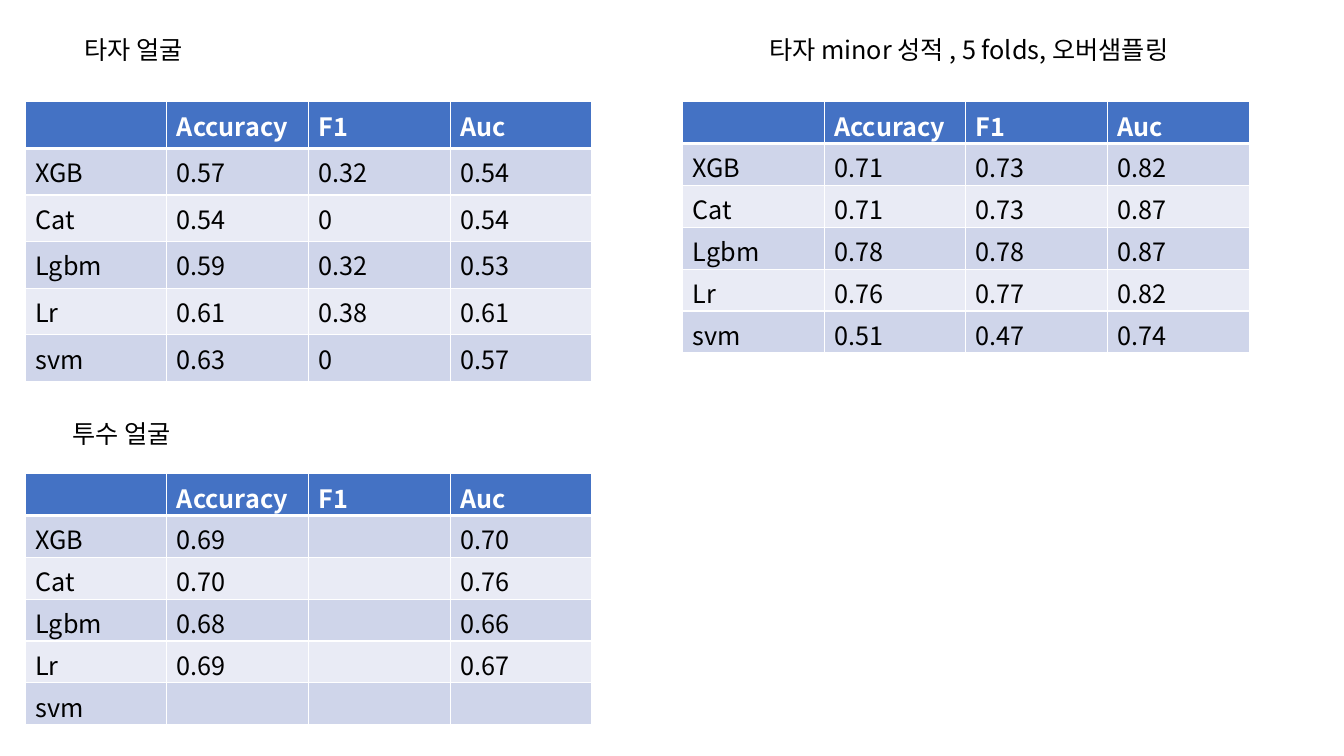
"""Build a slide comparing classifier scores in three captioned tables."""
from dataclasses import dataclass

from lxml.etree import SubElement
from pptx import Presentation
from pptx.dml.color import RGBColor
from pptx.enum.text import MSO_AUTO_SIZE as AutoSize
from pptx.oxml.ns import qn
from pptx.slide import Slide
from pptx.table import _Cell as Cell
from pptx.text.text import TextFrame
from pptx.util import Inches, Pt


@dataclass(frozen=True)
class Theme:
    font: str = "Noto Sans CJK KR"
    text_size: int = 18
    text: str = "000000"
    header_text: str = "FFFFFF"
    header_fill: str = "4472C4"
    bands: tuple[str, str] = ("E9EBF5", "CFD5EA")
    border: str = "FFFFFF"
    thin: float = 1
    thick: float = 3


@dataclass(frozen=True)
class Caption:
    text: str
    left: float
    top: float
    width: float


@dataclass(frozen=True)
class ScoreTable:
    caption: Caption
    left: float
    top: float
    height: float
    scores: tuple[tuple[str, str, str], ...]


THEME = Theme()
METRICS = ("", "Accuracy", "F1", "Auc")
MODELS = ("XGB", "Cat", "Lgbm", "Lr", "svm")
TABLE_WIDTH = 5.62
CAPTION_HEIGHT = 0.4

TABLES = (
    ScoreTable(
        Caption("타자 얼굴", 0.74, 0.29, 1.3), 0.25, 1.01, 2.76,
        (("0.57", "0.32", "0.54"), ("0.54", "0", "0.54"), ("0.59", "0.32", "0.53"),
         ("0.61", "0.38", "0.61"), ("0.63", "0", "0.57")),
    ),
    ScoreTable(
        Caption("타자 minor 성적 , 5 folds, 오버샘플링", 7.53, 0.29, 4.48), 6.77, 1.01, 2.49,
        (("0.71", "0.73", "0.82"), ("0.71", "0.73", "0.87"), ("0.78", "0.78", "0.87"),
         ("0.76", "0.77", "0.82"), ("0.51", "0.47", "0.74")),
    ),
    ScoreTable(
        Caption("투수 얼굴", 0.62, 4.1, 1.3), 0.25, 4.7, 2.49,
        (("0.69", "", "0.70"), ("0.70", "", "0.76"), ("0.68", "", "0.66"),
         ("0.69", "", "0.67"), ("", "", "")),
    ),
)


def write_text(frame: TextFrame, text: str, *, color: str = THEME.text,
               size: float = THEME.text_size, bold: bool = False) -> None:
    span = frame.paragraphs[0].add_run()
    span.text = text
    span.font.name = THEME.font
    span.font.size = Pt(size)
    span.font.bold = bold
    span.font.color.rgb = RGBColor.from_string(color)
    SubElement(span.font._element, qn("a:ea"), typeface=THEME.font)


def draw_borders(cell: Cell, *, top: float, bottom: float) -> None:
    properties = cell._tc.get_or_add_tcPr()
    widths = {"lnL": THEME.thin, "lnR": THEME.thin, "lnT": top, "lnB": bottom}
    for side, width in widths.items():
        line = SubElement(properties, qn(f"a:{side}"), w=str(Pt(width)))
        fill = SubElement(line, qn("a:solidFill"))
        SubElement(fill, qn("a:srgbClr"), val=THEME.border)


def draw_cell(cell: Cell, text: str, row: int) -> None:
    header = row == 0
    draw_borders(cell,
                 top=THEME.thick if row == 1 else THEME.thin,
                 bottom=THEME.thick if header else THEME.thin)
    cell.fill.solid()
    color = THEME.header_fill if header else THEME.bands[row % 2]
    cell.fill.fore_color.rgb = RGBColor.from_string(color)
    if text:
        write_text(cell.text_frame, text, bold=header,
                   color=THEME.header_text if header else THEME.text)


def draw_caption(page: Slide, caption: Caption) -> None:
    box = page.shapes.add_textbox(Inches(caption.left), Inches(caption.top),
                                  Inches(caption.width), Inches(CAPTION_HEIGHT))
    box.text_frame.word_wrap = False
    box.text_frame.auto_size = AutoSize.SHAPE_TO_FIT_TEXT
    write_text(box.text_frame, caption.text)


def draw_table(page: Slide, spec: ScoreTable) -> None:
    rows = [METRICS, *((model, *scores) for model, scores in zip(MODELS, spec.scores))]
    table = page.shapes.add_table(
        len(rows), len(METRICS), Inches(spec.left), Inches(spec.top),
        Inches(TABLE_WIDTH), Inches(spec.height)).table
    for row, texts in enumerate(rows):
        for column, text in enumerate(texts):
            draw_cell(table.cell(row, column), text, row)


def main() -> None:
    deck = Presentation()
    deck.slide_width, deck.slide_height = Inches(13.33), Inches(7.5)
    page = deck.slides.add_slide(deck.slide_layouts.get_by_name("Blank"))
    for score_table in TABLES:
        draw_table(page, score_table)
        draw_caption(page, score_table.caption)
    deck.save("out.pptx")


if __name__ == "__main__":
    main()
